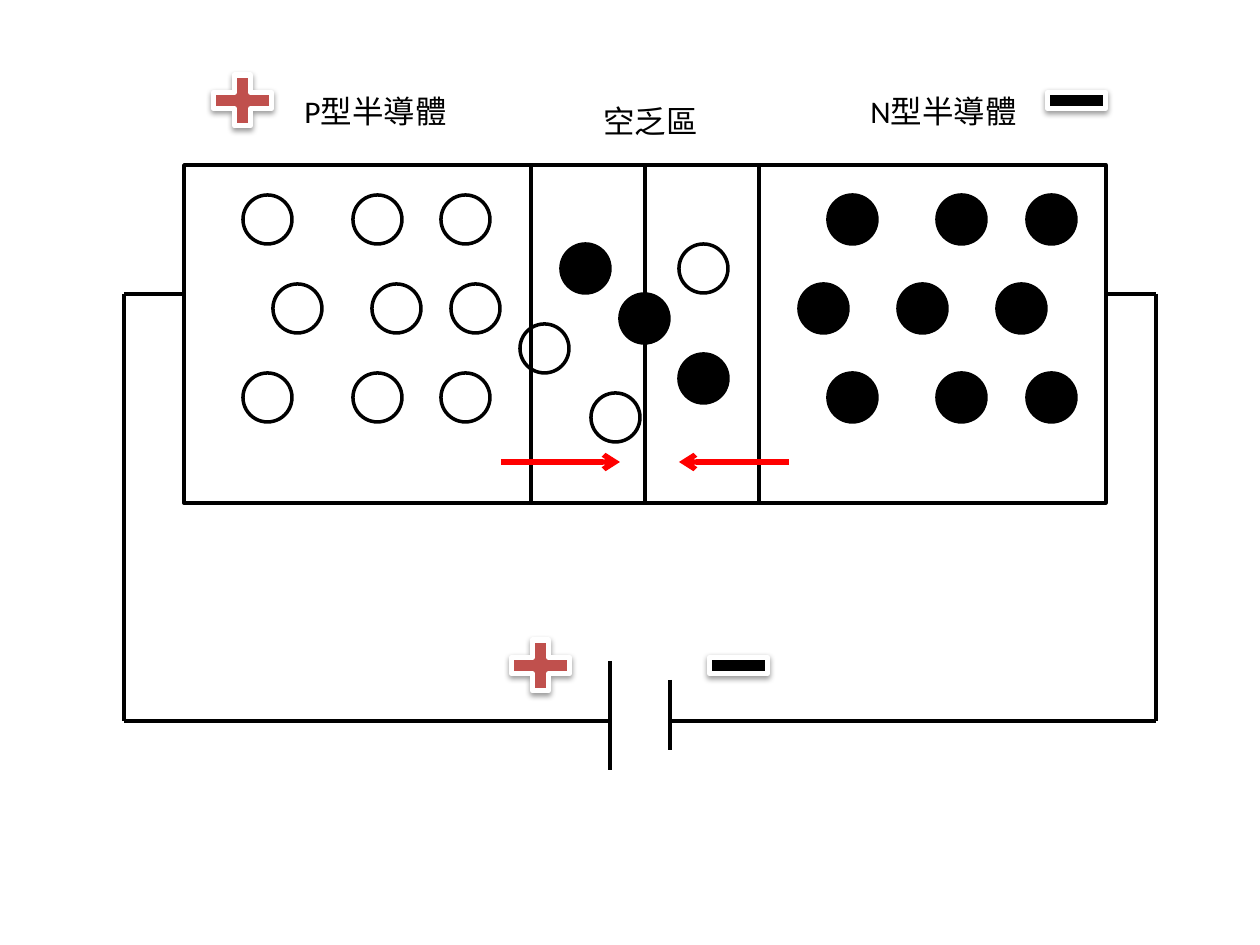
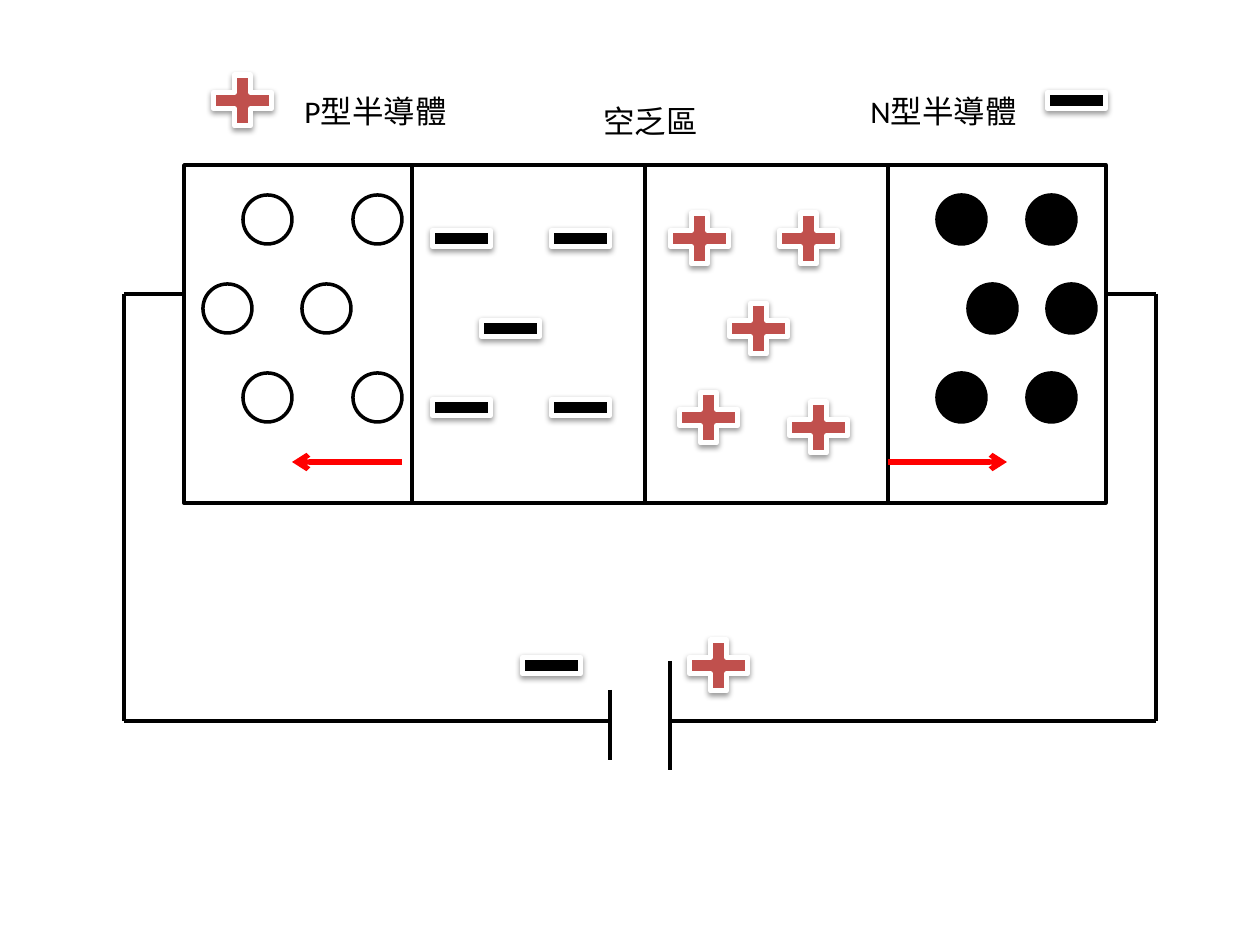
from collections import namedtuple

from lxml import etree
from pptx import Presentation
from pptx.dml.color import RGBColor
from pptx.enum.shapes import MSO_CONNECTOR, MSO_SHAPE
from pptx.oxml.ns import qn
from pptx.util import Emu, Pt

OVAL = MSO_SHAPE.OVAL
RECTANGLE = MSO_SHAPE.RECTANGLE
PLUS = MSO_SHAPE.MATH_PLUS
MINUS = MSO_SHAPE.MATH_MINUS
STRAIGHT = MSO_CONNECTOR.STRAIGHT

BLACK = RGBColor(0x00, 0x00, 0x00)
WHITE = RGBColor(0xFF, 0xFF, 0xFF)
RED = RGBColor(0xFF, 0x00, 0x00)
BRICK = RGBColor(0xC0, 0x50, 0x4D)
FONT = "Calibri"

PX_PER_INCH = 126
CARRIER = 49
SIGN_WIDTH, SIGN_HEIGHT = 79, 69
ROWS = (30, 119, 208)
ARROW_Y = 297
PLATE_X = 486
LONG_PLATE = (367, 476)

Box = namedtuple("Box", "left top width height")
Bias = namedtuple(
    "Bias", "dividers holes electrons pluses minuses arrows plates battery_signs"
)

JUNCTION = Box(184, 165, 922, 338)
CIRCUIT = Box(124, 294, 1032, 427)

LABELS = [
    ("P型半導體", 108, -79, 169),
    ("N型半導體", 674, -79, 173),
    ("空乏區", 407, -69, 121),
]
TERMINAL_SIGNS = [(PLUS, 19, -99), (MINUS, 853, -99)]


def in_rows(*columns_by_row):
    return [(x, y) for y, columns in zip(ROWS, columns_by_row) for x in columns]


FORWARD = Bias(
    dividers=(347, 575),
    holes=in_rows((59, 169, 257), (89, 188, 267), (59, 169, 257))
    + [(336, 159), (407, 228), (495, 79)],
    electrons=in_rows((644, 753, 843), (615, 714, 813), (644, 753, 843))
    + [(377, 79), (436, 129), (495, 189)],
    pluses=[],
    minuses=[],
    arrows=[(317, 436), (605, 495)],
    plates=(LONG_PLATE, (386, 456)),
    battery_signs=[(PLUS, 377, 337), (MINUS, 575, 337)],
)
REVERSE = Bias(
    dividers=(228, 704),
    holes=in_rows((59, 169), (19, 118), (59, 169)),
    electrons=in_rows((753, 843), (784, 863), (753, 843)),
    pluses=[(476, 39), (585, 39), (535, 129), (485, 218), (595, 228)],
    minuses=[(238, 39), (357, 39), (287, 129), (238, 208), (357, 208)],
    arrows=[(704, 823), (218, 108)],
    plates=((396, 466), LONG_PLATE),
    battery_signs=[(MINUS, 388, 337), (PLUS, 555, 337)],
)


def px(length):
    return Emu(round(length * 914400 / PX_PER_INCH))


def add_outlined(page, kind, box, fill, color, weight):
    shape = page.shapes.add_shape(kind, *map(px, box))
    shape.shadow.inherit = False
    if fill is None:
        shape.fill.background()
    else:
        shape.fill.solid()
        shape.fill.fore_color.rgb = fill
    shape.line.color.rgb = color
    shape.line.width = Pt(weight)
    return shape


def add_line(page, box, start, end, color=BLACK, weight=2.25):
    points = [
        px(value)
        for x, y in (start, end)
        for value in (box.left + x, box.top + y)
    ]
    line = page.shapes.add_connector(STRAIGHT, *points)
    line.line.color.rgb = color
    line.line.width = Pt(weight)
    etree.SubElement(line._element.spPr, qn("a:effectLst"))
    return line


def add_arrow(page, box, start_x, end_x):
    arrow = add_line(page, box, (start_x, ARROW_Y), (end_x, ARROW_Y), RED, 3)
    outline = arrow._element.spPr.find(qn("a:ln"))
    etree.SubElement(outline, qn("a:tailEnd"), type="arrow")


def add_carrier(page, box, x, y, fill=None):
    place = Box(box.left + x, box.top + y, CARRIER, CARRIER)
    add_outlined(page, OVAL, place, fill, BLACK, 2)


def add_sign(page, box, kind, x, y):
    place = Box(box.left + x, box.top + y, SIGN_WIDTH, SIGN_HEIGHT)
    fill = BRICK if kind == PLUS else BLACK
    sign = add_outlined(page, kind, place, fill, WHITE, 3)
    effects = sign._element.spPr.find(qn("a:effectLst"))
    shadow = etree.SubElement(
        effects, qn("a:outerShdw"),
        blurRad="40000", dist="20000", dir="5400000", rotWithShape="0",
    )
    color = etree.SubElement(shadow, qn("a:srgbClr"), val=str(BLACK))
    etree.SubElement(color, qn("a:alpha"), val="38000")


def add_label(page, box, text, x, y, width):
    label = page.shapes.add_textbox(
        px(box.left + x), px(box.top + y), px(width), px(50)
    )
    label.text_frame.word_wrap = True
    span = label.text_frame.paragraphs[0].add_run()
    span.text = text
    span.font.size = Pt(18)
    span.font.name = FONT
    span.font.color.rgb = BLACK


def draw_junction(page, box, bias):
    body = add_outlined(page, RECTANGLE, box, None, BLACK, 2)
    middle = box.width // 2
    boundary = add_line(page, box, (middle, 0), (middle, box.height))
    boundary.begin_connect(body, 0)
    boundary.end_connect(body, 2)
    for x in bias.dividers:
        add_line(page, box, (x, 0), (x, box.height))
    for x, y in bias.electrons:
        add_carrier(page, box, x, y, BLACK)
    for x, y in bias.holes:
        add_carrier(page, box, x, y)
    for start_x, end_x in bias.arrows:
        add_arrow(page, box, start_x, end_x)
    for kind, places in ((MINUS, bias.minuses), (PLUS, bias.pluses)):
        for x, y in places:
            add_sign(page, box, kind, x, y)
    for sign in TERMINAL_SIGNS:
        add_sign(page, box, *sign)
    for label in LABELS:
        add_label(page, box, *label)


def draw_circuit(page, box, junction, bias):
    sides = (
        (0, PLATE_X, junction.left - box.left),
        (box.width, box.width - PLATE_X, junction.left + junction.width - box.left),
    )
    for (edge, plate, contact), (top, bottom) in zip(sides, bias.plates):
        add_line(page, box, (plate, top), (plate, bottom))
        add_line(page, box, (edge, box.height), (plate, box.height))
        add_line(page, box, (edge, 0), (edge, box.height))
        add_line(page, box, (edge, 0), (contact, 0))
    for sign in bias.battery_signs:
        add_sign(page, box, *sign)


def main():
    deck = Presentation()
    deck.slide_width = px(1260)
    deck.slide_height = px(945)
    for bias in (FORWARD, REVERSE):
        page = deck.slides.add_slide(deck.slide_layouts[6])
        draw_junction(page, JUNCTION, bias)
        draw_circuit(page, CIRCUIT, JUNCTION, bias)
    deck.save("out.pptx")


if __name__ == "__main__":
    main()
